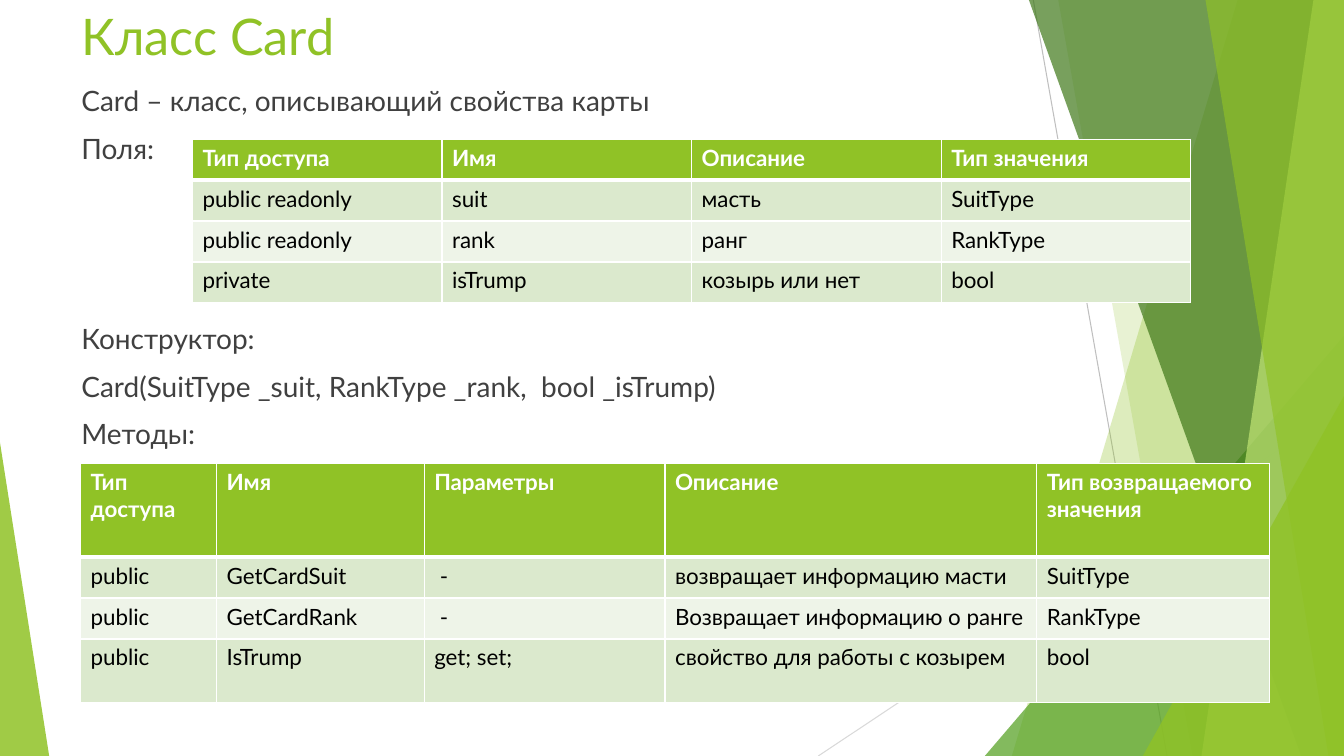
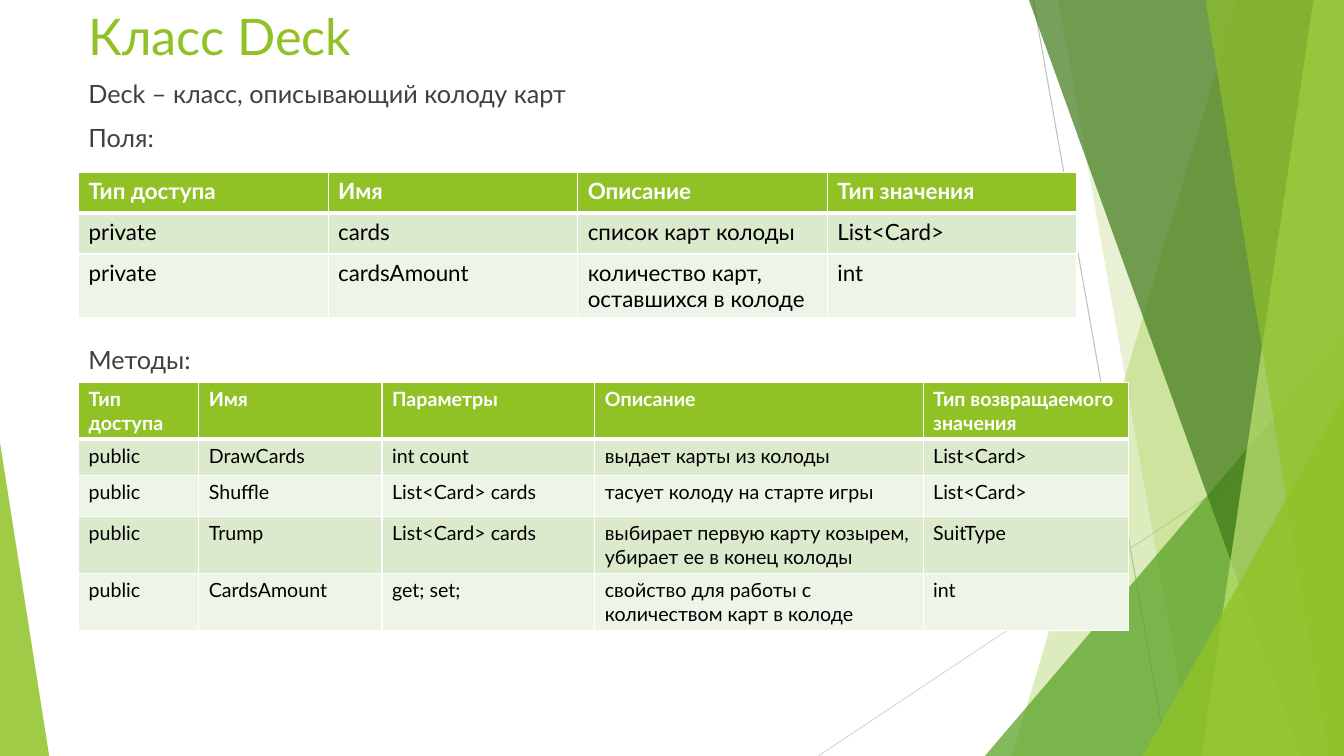
from lxml import etree
from pptx import Presentation
from pptx.dml.color import RGBColor
from pptx.enum import shapes, text
from pptx.oxml import ns
from pptx.util import Cm, Pt

# Shared look
W, H = 33.87, 19.05
FONT = "Lato"
LIME, GREEN, FOREST, PALE = "90C226", "54A021", "3F7819", "C0E474"
WHITE, BLACK, BODY = "FFFFFF", "000000", "404040"
ROW_FILLS = ("DBE9CD", "EEF4E8")

# Shared table headings and column widths
FIELD_HEADS = ("Тип доступа", "Имя", "Описание", "Тип значения")
METHOD_HEADS = ("Тип доступа", "Имя", "Параметры", "Описание",
                "Тип возвращаемого значения")
FIELD_COLS = (6.29,) * 4
METHOD_COLS = (3.43, 5.23, 6.07, 9.37, 5.87)


def rgb(color):
    return RGBColor.from_string(color)


def set_font(p, size, color, bold=False):
    p.font.name, p.font.size, p.font.bold = FONT, Pt(size), bold
    p.font.color.rgb = rgb(color)


def paint(sp, color, opacity):
    """Fill a shape with a translucent colour and no outline."""
    sp.shadow.inherit = False
    sp.line.fill.background()
    sp.fill.solid()
    sp.fill.fore_color.rgb = rgb(color)
    clr = sp.fill._xPr.find(".//" + ns.qn("a:srgbClr"))
    etree.SubElement(clr, ns.qn("a:alpha"), val=str(opacity * 1000))


# Backdrop: thin lines, slanted bands and triangles
def add_thin_line(s, x1, y1, x2, y2, color):
    line = s.shapes.add_connector(shapes.MSO_CONNECTOR.STRAIGHT,
                                  Cm(x1), Cm(y1), Cm(x2), Cm(y2))
    line.line.color.rgb = rgb(color)
    line.line.width = Pt(0.75)
    etree.SubElement(line._element.spPr, ns.qn("a:effectLst"))


def add_band(s, top_x, bottom_x, color, opacity):
    """A band from a slanted left edge to the right edge of the slide."""
    outline = s.shapes.build_freeform(Cm(top_x), Cm(0))
    outline.add_line_segments([(Cm(W), Cm(0)), (Cm(W), Cm(H)), (Cm(bottom_x), Cm(H))])
    paint(outline.convert_to_shape(), color, opacity)


def add_triangle(s, x, width, height, apex, color, opacity):
    """A triangle standing on the bottom edge of the slide."""
    sp = s.shapes.add_shape(shapes.MSO_SHAPE.ISOSCELES_TRIANGLE,
                            Cm(x), Cm(H - height), Cm(width), Cm(height))
    sp.adjustments[0] = apex
    paint(sp, color, opacity)


def add_backdrop(s):
    add_thin_line(s, 26.04, 0, 29.41, H, "BFBFBF")
    add_thin_line(s, W, 10.24, 20.62, H, "D9D9D9")
    add_band(s, 31.19, 25.5, LIME, 30)
    add_band(s, 26.67, 30.05, LIME, 20)
    add_triangle(s, 24.82, 9.05, 10.59, 1, GREEN, 72)
    add_band(s, 25.93, 32.79, FOREST, 70)
    add_band(s, 33.1, 30.28, PALE, 70)
    add_band(s, 30.38, 33.48, LIME, 65)
    add_triangle(s, 28.8, 5.07, 9.07, 1, LIME, 80)
    add_triangle(s, 0, 1.24, 7.9, 0, LIME, 85)


# Text: each line is (words, space before in points)
def add_text(s, box, lines, size, color):
    tf = s.shapes.add_textbox(*map(Cm, box)).text_frame
    tf.word_wrap = True
    tf.vertical_anchor = text.MSO_ANCHOR.TOP
    for i, (words, before) in enumerate(lines):
        p = tf.paragraphs[0] if i == 0 else tf.add_paragraph()
        p.text = words
        p.space_before = Pt(before)
        set_font(p, size, color)


# Tables
def set_borders(cell, top, bottom):
    tc_pr = cell._tc.get_or_add_tcPr()
    for side, width in (("L", 1), ("R", 1), ("T", top), ("B", bottom)):
        ln = etree.SubElement(tc_pr, ns.qn("a:ln" + side), w=str(Pt(width)))
        fill = etree.SubElement(ln, ns.qn("a:solidFill"))
        etree.SubElement(fill, ns.qn("a:srgbClr"), val=WHITE)


def add_grid(s, x, y, cols, heights, rows, size):
    """A table with a lime heading row and banded rows below."""
    table = s.shapes.add_table(len(rows), len(cols), Cm(x), Cm(y),
                               Cm(sum(cols)), Cm(sum(heights))).table
    for column, width in zip(table.columns, cols):
        column.width = Cm(width)
    for i, (row, height, words) in enumerate(zip(table.rows, heights, rows)):
        row.height = Cm(height)
        head = i == 0
        for cell, word in zip(row.cells, words):
            set_borders(cell, 3 if i == 1 else 1, 3 if head else 1)
            cell.fill.solid()
            cell.fill.fore_color.rgb = rgb(LIME if head else ROW_FILLS[(i - 1) % 2])
            p = cell.text_frame.paragraphs[0]
            p.text = word
            set_font(p, size, WHITE if head else BLACK, head)


def add_class_slide(prs, title, title_x, body_box, body, body_size, grids):
    s = prs.slides.add_slide(prs.slide_layouts[6])
    add_backdrop(s)
    add_text(s, (title_x, 0, 12, 2.4), [(title, 0)], 36, LIME)
    add_text(s, body_box, body, body_size, BODY)
    for grid in grids:
        add_grid(s, *grid)


def main():
    prs = Presentation()
    prs.slide_width, prs.slide_height = Cm(W), Cm(H)

    # Card
    card_fields = [
        FIELD_HEADS,
        ("public readonly", "suit", "масть", "SuitType"),
        ("public readonly", "rank", "ранг", "RankType"),
        ("private", "isTrump", "козырь или нет", "bool"),
    ]
    card_methods = [
        METHOD_HEADS,
        ("public", "GetCardSuit", " -", "возвращает информацию масти", "SuitType"),
        ("public", "GetCardRank", " -", "Возвращает информацию о ранге", "RankType"),
        ("public", "IsTrump", "get; set;", "свойство для работы с козырем", "bool"),
    ]
    card_body = [
        ("Card – класс, описывающий свойства карты", 10),
        ("Поля:", 10),
        ("Конструктор:", 112),
        ("Card(SuitType _suit, RankType _rank,  bool _isTrump)", 10),
        ("Методы:", 10),
    ]
    add_class_slide(prs, "Класс Card", 1.8, (1.8, 1.98, 18.97, 15.52), card_body, 20, [
        (4.85, 3.51, FIELD_COLS, (1.03,) * 4, card_fields, 16),
        (2.03, 11.68, METHOD_COLS, (2.36, 1.03, 1.03, 1.6), card_methods, 16),
    ])

    # Deck
    deck_fields = [
        FIELD_HEADS,
        ("private", "cards", "список карт колоды", "List<Card>"),
        ("private", "cardsAmount", "количество карт, оставшихся в колоде", "int"),
    ]
    deck_methods = [
        METHOD_HEADS,
        ("public", "DrawCards", "int count", "выдает карты из колоды", "List<Card>"),
        ("public", "Shuffle", "List<Card> cards", "тасует колоду на старте игры",
         "List<Card>"),
        ("public", "Trump", "List<Card> cards",
         "выбирает первую карту козырем, убирает ее в конец колоды", "SuitType"),
        ("public", "CardsAmount", "get; set;",
         "свойство для работы с количеством карт в колоде", "int"),
    ]
    deck_body = [
        ("Deck – класс, описывающий колоду карт", 10),
        ("Поля:", 10),
        ("Методы:", 137),
    ]
    x = 1.98
    scale = 26.47 / sum(METHOD_COLS)
    deck_cols = [width * scale for width in METHOD_COLS]
    add_class_slide(prs, "Класс Deck", x, (x, 1.85, 23.88, 7.77), deck_body, 18, [
        (x, 4.34, FIELD_COLS, (1.03, 1.03, 1.6), deck_fields, 16),
        (x, 9.63, deck_cols, (1.44, 0.91, 1.03, 1.44, 1.44), deck_methods, 14),
    ])

    prs.save("out.pptx")


if __name__ == "__main__":
    main()
